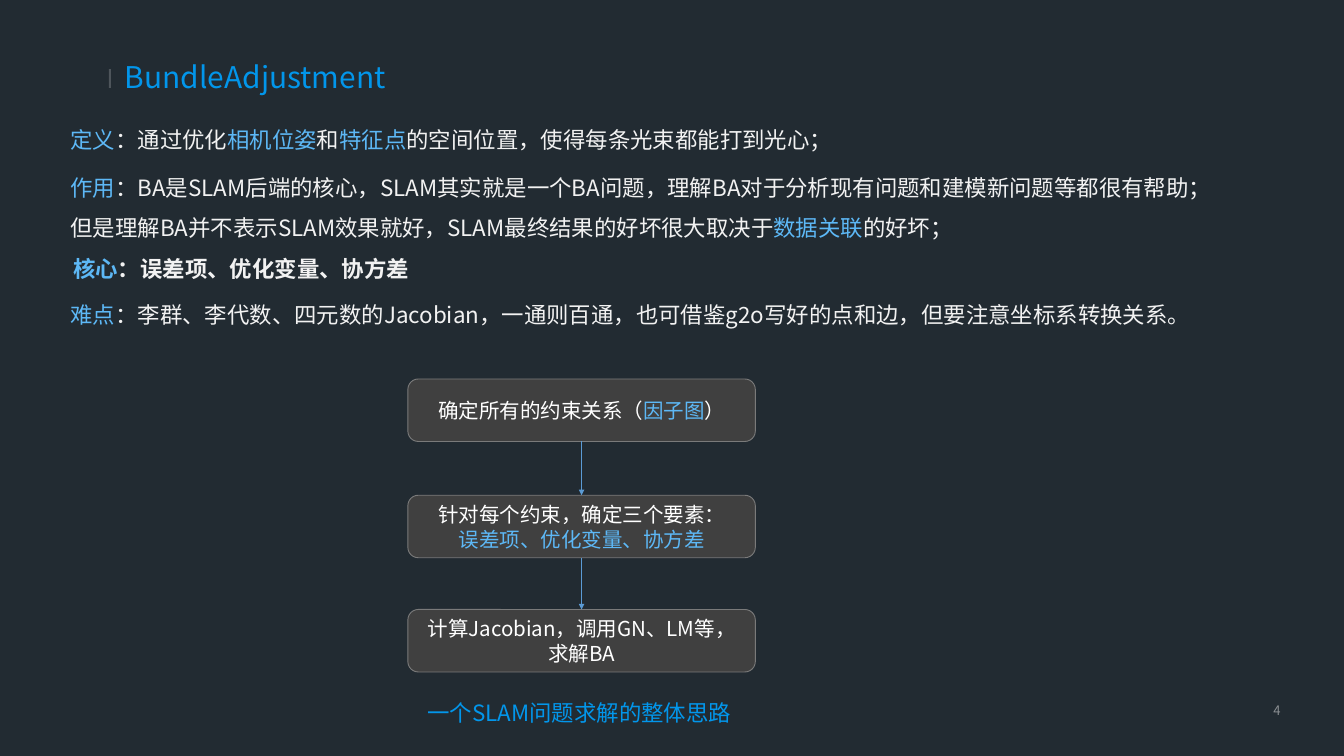
import pptx
import pptx.dml.color
import pptx.enum.shapes
import pptx.enum.text
import pptx.oxml
import pptx.oxml.ns
import pptx.util
from pptx.util import Inches

FONT = "Noto Sans CJK SC"
TITLE_BLUE, KEY_BLUE, ARROW_BLUE = "0296EB", "5DB8F6", "5B9BD5"
WHITE, PALE = "FFFFFF", "F2F2F2"
BACKGROUND, BOX_FILL, BOX_LINE = "222B32", "404040", "7A7A7A"
ANCHOR = pptx.enum.text.MSO_ANCHOR
ALIGN = pptx.enum.text.PP_ALIGN
SHAPE = pptx.enum.shapes.MSO_SHAPE


def color(value):
    return pptx.dml.color.RGBColor.from_string(value)


def add_element(parent, tag, **attributes):
    child = pptx.oxml.parse_xml(f"<{tag} {pptx.oxml.ns.nsdecls('a')}/>")
    for name, value in attributes.items():
        child.set(name, value)
    parent.append(child)


def set_alpha(parent, percent):
    for fill_color in parent.iter(pptx.oxml.ns.qn("a:srgbClr")):
        add_element(fill_color, "a:alpha", val=str(percent * 1000))


class SlideStyle:
    """Holds the current page and draws each kind of element on it."""

    def __init__(self, page):
        self.page = page
        page.background.fill.solid()
        page.background.fill.fore_color.rgb = color(BACKGROUND)

    def fill_frame(self, frame, paragraphs, size, spacing=None, align=ALIGN.LEFT, bold=None):
        """Each paragraph is a list of (text, colour) spans."""
        frame.word_wrap = True
        for index, spans in enumerate(paragraphs):
            para = frame.add_paragraph() if index else frame.paragraphs[0]
            para.alignment = align
            para.line_spacing = spacing
            para.font.size = pptx.util.Pt(size)
            para.font.name = FONT
            para.font.bold = bold
            defaults = para._p.pPr.find(pptx.oxml.ns.qn("a:defRPr"))
            add_element(defaults, "a:ea", typeface=FONT)
            for text, text_color in spans:
                span = para.add_run()
                span.text = text
                span.font.color.rgb = color(text_color)

    def text(self, left, top, width, height, spans, size=24, anchor=ANCHOR.MIDDLE, **style):
        box = self.page.shapes.add_textbox(
            Inches(left), Inches(top), Inches(width), Inches(height))
        box.text_frame.vertical_anchor = anchor
        self.fill_frame(box.text_frame, [spans], size, **style)
        return box

    def shape(self, kind, left, top, width, height, fill):
        shape = self.page.shapes.add_shape(
            kind, Inches(left), Inches(top), Inches(width), Inches(height))
        shape.shadow.inherit = False
        shape.fill.solid()
        shape.fill.fore_color.rgb = color(fill)
        shape.line.fill.background()
        return shape

    def step(self, top, paragraphs):
        box = self.shape(SHAPE.ROUNDED_RECTANGLE, 6.07, top, 5.17, 0.93, BOX_FILL)
        box.line.color.rgb = color(BOX_LINE)
        box.line.width = pptx.util.Pt(1)
        box.text_frame.vertical_anchor = ANCHOR.MIDDLE
        self.fill_frame(box.text_frame, paragraphs, 22, align=ALIGN.CENTER)
        return box

    def arrow(self, upper, lower):
        line = self.page.shapes.add_connector(
            pptx.enum.shapes.MSO_CONNECTOR.STRAIGHT, 0, 0, 0, 0)
        line.begin_connect(upper, 2)
        line.end_connect(lower, 0)
        line.line.color.rgb = color(ARROW_BLUE)
        line.line.width = pptx.util.Pt(0.5)
        add_element(line.line._get_or_add_ln(), "a:tailEnd", type="triangle")
        add_element(line._element.spPr, "a:effectLst")


def main():
    deck = pptx.Presentation()
    deck.slide_width, deck.slide_height = Inches(20), Inches(11.25)
    style = SlideStyle(deck.slides.add_slide(deck.slide_layouts[6]))

    # Title with its marker, and page number
    marker = style.shape(SHAPE.RECTANGLE, 1.62, 1.03, 0.03, 0.28, WHITE)
    set_alpha(marker._element.spPr, 20)
    style.text(1.76, 0.96, 5.24, 0.42, [("BundleAdjustment", TITLE_BLUE)],
               size=32, spacing=0.9)
    number = style.text(18.85, 10.4, 0.56, 0.48, [("4", PALE)],
                        size=14, anchor=ANCHOR.TOP)
    set_alpha(number._element.txBody, 50)

    # Explanations
    style.text(0.95, 1.7, 17.95, 0.55, [
        ("定义", KEY_BLUE), ("：通过优化", PALE), ("相机位姿", KEY_BLUE), ("和", PALE),
        ("特征点", KEY_BLUE), ("的空间位置，使得每条光束都能打到光心；", PALE),
    ], spacing=1.5)
    style.text(0.95, 2.34, 17.35, 1.31, [
        ("作用", KEY_BLUE),
        ("：BA是SLAM后端的核心，SLAM其实就是一个BA问题，理解BA对于分析现有问题和建模新问题等都很有帮助；"
         "但是理解BA并不表示SLAM效果就好，SLAM最终结果的好坏很大取决于", PALE),
        ("数据关联", KEY_BLUE), ("的好坏；", PALE),
    ], anchor=ANCHOR.TOP, spacing=1.5)
    style.text(0.99, 3.54, 5.25, 0.64, [
        ("核心", KEY_BLUE), ("：误差项、优化变量、协方差", PALE),
    ], anchor=ANCHOR.TOP, spacing=1.5, bold=True)
    style.text(0.95, 4.35, 17.95, 0.46, [
        ("难点", KEY_BLUE),
        ("：李群、李代数、四元数的Jacobian，一通则百通，也可借鉴g2o写好的点和边，"
         "但要注意坐标系转换关系。", PALE),
    ], spacing=1.5)

    # Flow of solving a problem
    steps = [
        style.step(5.64, [[("确定所有的约束关系（", WHITE), ("因子图", KEY_BLUE), ("）", WHITE)]]),
        style.step(7.37, [[("针对每个约束，确定三个要素：", WHITE)],
                          [("误差项、优化变量、协方差", KEY_BLUE)]]),
        style.step(9.07, [[("计算Jacobian，调用GN、LM等，求解BA", WHITE)]]),
    ]
    for upper, lower in zip(steps, steps[1:]):
        style.arrow(upper, lower)
    style.text(6, 10.42, 5.24, 0.42, [("一个SLAM问题求解的整体思路", TITLE_BLUE)],
               spacing=0.9, align=ALIGN.CENTER)

    deck.save("out.pptx")


if __name__ == "__main__":
    main()
